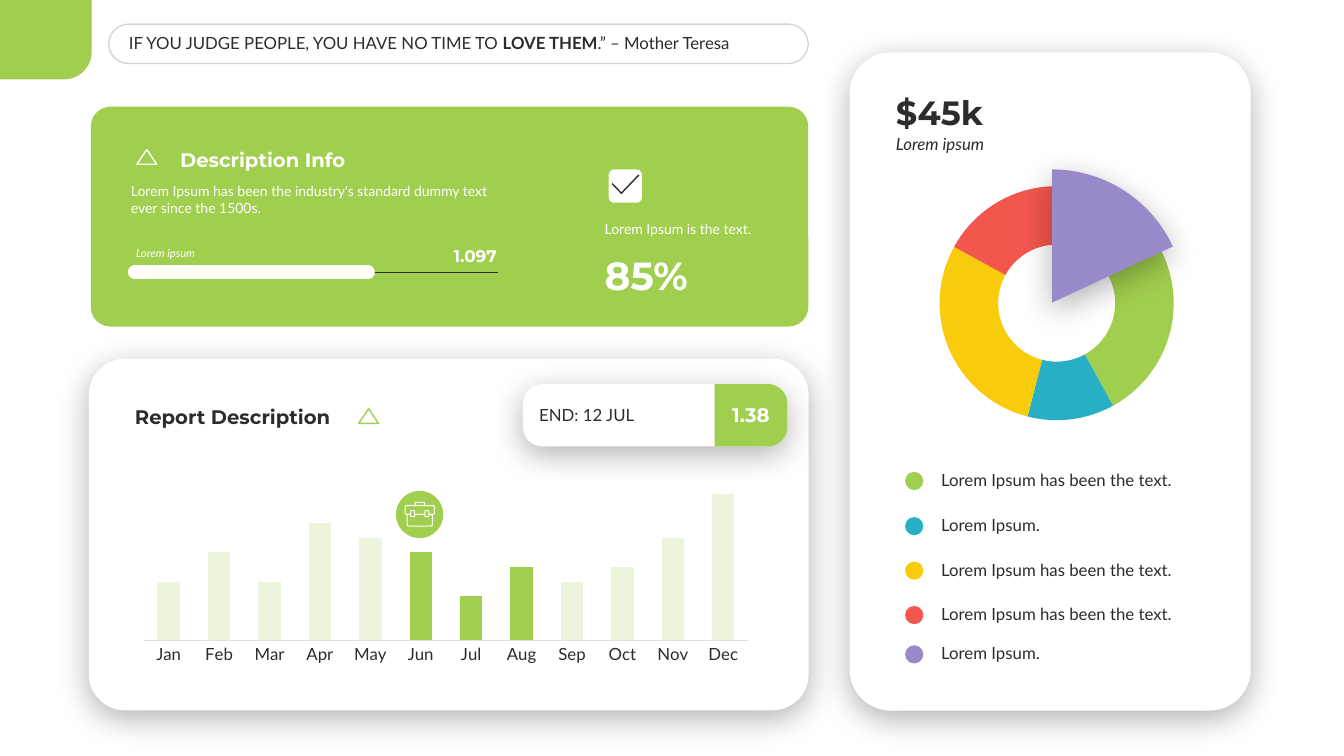
import math
import pptx
import pptx.chart.data, pptx.dml.color, pptx.oxml, pptx.oxml.ns, pptx.util
import pptx.enum.chart, pptx.enum.shapes, pptx.enum.text

Cm, Pt = pptx.util.Cm, pptx.util.Pt
SHAPE = pptx.enum.shapes.MSO_SHAPE
CHART = pptx.enum.chart.XL_CHART_TYPE
COLORS = {"green": "A0CE4E", "pale": "ECF5DC", "blue": "28AFC3", "yellow": "F8CB0C",
          "red": "F1574D", "purple": "9989CA", "dark": "2C2C2C", "white": "FFFFFF",
          "axis": "DFDFDF", "shadow": "000000"}

# Content: quote runs as (text, bold)
QUOTE = [("IF YOU JUDGE PEOPLE, YOU HAVE NO TIME TO ", False), ("LOVE THEM", True),
         (".” – Mother Teresa", False)]
MONTHS = {"Jan": 40, "Feb": 60, "Mar": 40, "Apr": 80, "May": 70, "Jun": 60,
          "Jul": 30, "Aug": 50, "Sep": 40, "Oct": 50, "Nov": 70, "Dec": 100}
HIGHLIGHTS = ("Jun", "Jul", "Aug")
SHARES = [("1", 42, "green"), ("2", 12, "blue"), ("3", 29, "yellow"), ("4", 17, "red")]
LEGEND = [  # text, colour, top in cm
    ("Lorem Ipsum has been the text.", "green", 11.71),
    ("Lorem Ipsum.", "blue", 12.85),
    ("Lorem Ipsum has been the text.", "yellow", 13.97),
    ("Lorem Ipsum has been the text.", "red", 15.09),
    ("Lorem Ipsum.", "purple", 16.08),
]
BRIEFCASE = [  # left, top, width, height in cm: handle, lid, body, clasps
    (10.46, 12.66, 0.24, 0.08), (10.21, 12.74, 0.74, 0.22), (10.26, 12.96, 0.64, 0.3),
    (10.35, 12.87, 0.1, 0.15), (10.71, 12.87, 0.1, 0.15),
]

deck = pptx.Presentation()
deck.slide_width, deck.slide_height = Cm(33.87), Cm(19.05)
page = deck.slides.add_slide(deck.slide_layouts[6])


def rgb(name):
    return pptx.dml.color.RGBColor.from_string(COLORS[name])


def effects(content=""):
    space = pptx.oxml.ns.nsdecls("a")
    return pptx.oxml.parse_xml(f"<a:effectLst {space}>{content}</a:effectLst>")


def paint(shape, fill=None, line=None, weight=1, shadow=False):
    shape.fill.background()
    if fill:
        shape.fill.solid()
        shape.fill.fore_color.rgb = rgb(fill)
    shape.line.fill.background()
    if line:
        shape.line.color.rgb = rgb(line)
        shape.line.width = Pt(weight)
    shape.shadow.inherit = False
    if shadow:
        properties = shape._element.spPr
        properties.remove(properties.find(pptx.oxml.ns.qn("a:effectLst")))
        properties.append(effects(
            f'<a:outerShdw blurRad="{Pt(23)}" dist="{Pt(6)}" dir="5400000" algn="t" '
            f'rotWithShape="0"><a:srgbClr val="{COLORS["shadow"]}">'
            '<a:alpha val="30000"/></a:srgbClr></a:outerShdw>'))
    return shape


def add_shape(kind, left, top, width, height, fill=None, adjust=(), **style):
    shape = page.shapes.add_shape(kind, Cm(left), Cm(top), Cm(width), Cm(height))
    for index, value in enumerate(adjust):
        shape.adjustments[index] = value
    return paint(shape, fill, **style)


def add_outline(points, closed=True, **style):
    builder = page.shapes.build_freeform(Cm(points[0][0]), Cm(points[0][1]), 1.0)
    builder.add_line_segments([(Cm(x), Cm(y)) for x, y in points[1:]], close=closed)
    return paint(builder.convert_to_shape(), **style)


def add_right_rounded(left, top, width, height, radii, fill):
    """Block whose top-right and bottom-right corners have the given radii."""
    points = [(left, top)]
    for radius, start, middle in zip(radii, (-90, 0), (top + radii[0], top + height - radii[1])):
        for angle in range(start, start + 91, 5):
            turn = math.radians(angle)
            points.append((left + width - radius + radius * math.cos(turn),
                           middle + radius * math.sin(turn)))
    add_outline(points + [(left, top + height)], fill=fill)


def add_text(runs, left, top, width, height, size, color="dark", font="Lato", anchor="MIDDLE",
             align="LEFT", italic=False, sides=(0.25, 0.25), after=0):
    box = page.shapes.add_textbox(Cm(left), Cm(top), Cm(width), Cm(height))
    frame = box.text_frame
    frame.word_wrap = True
    frame.auto_size = pptx.enum.text.MSO_AUTO_SIZE.SHAPE_TO_FIT_TEXT
    frame.vertical_anchor = pptx.enum.text.MSO_ANCHOR[anchor]
    frame.margin_left, frame.margin_right = map(Cm, sides)
    para = frame.paragraphs[0]
    para.alignment = pptx.enum.text.PP_ALIGN[align]
    para.space_after = Pt(after)
    if isinstance(runs, str):
        runs = [(runs, font == "Montserrat")]
    for text, bold in runs:
        span = para.add_run()
        span.text = text
        span.font.size, span.font.name = Pt(size), font
        span.font.bold, span.font.italic = bold, italic
        span.font.color.rgb = rgb(color)


def add_line(start, end, y, color, weight):
    line = page.shapes.add_connector(pptx.enum.shapes.MSO_CONNECTOR.STRAIGHT,
                                     Cm(start), Cm(y), Cm(end), Cm(y))
    line.line.color.rgb = rgb(color)
    line.line.width = Pt(weight)
    line._element.spPr.append(effects())
    return line


def add_chart(kind, categories, values, colors, place, size):
    data = pptx.chart.data.CategoryChartData()
    data.categories = categories
    data.add_series("Series 1", values)
    chart = page.shapes.add_chart(kind, *map(Cm, place), data).chart
    chart.has_legend = chart.has_title = False
    chart.font.size, chart.font.name = Pt(size), "Lato"
    chart.font.color.rgb = rgb("dark")
    for index, color in enumerate(colors):
        point = chart.plots[0].series[0].points[index].format
        point.fill.solid()
        point.fill.fore_color.rgb = rgb(color)
        point.line.fill.background()
    return chart


# Quote bar and corner block
pill = add_shape(SHAPE.ROUNDED_RECTANGLE, 2.74, 0.61, 17.63, 0.99, adjust=[0.5], line="dark")
line_color = pill.line._ln.find(".//" + pptx.oxml.ns.qn("a:srgbClr"))
line_color.append(pptx.oxml.parse_xml(f'<a:alpha {pptx.oxml.ns.nsdecls("a")} val="20000"/>'))
add_text(QUOTE, 3.15, 0.71, 16.64, 0.76, 12, sides=(0.1, 0.1))
add_right_rounded(0, 0, 2.31, 2, (0, 0.69), "green")

# Green information panel
add_shape(SHAPE.ROUNDED_RECTANGLE, 2.29, 2.69, 18.08, 5.54, "green", [0.089])
add_shape(SHAPE.ROUNDED_RECTANGLE, 15.34, 4.27, 0.84, 0.84, "white")
add_outline([(15.43, 4.63), (15.66, 4.87), (16.1, 4.41)], closed=False, line="dark")
add_text("Lorem Ipsum is the text.", 14.99, 5.41, 4.78, 0.69, 10, "white", anchor="BOTTOM")
add_text("85%", 14.99, 6.2, 4.78, 1.45, 28, "white", "Montserrat", "TOP")
add_line(3.4, 12.55, 6.86, "dark", 0.5)
add_line(3.4, 9.27, 6.86, "white", 10).line._ln.set("cap", "rnd")
add_text("Lorem ipsum", 3.23, 6.07, 4.88, 0.61, 8, "white", anchor="BOTTOM",
         italic=True, sides=(0.2, 0.25))
add_text("1.097", 10.97, 6.07, 1.65, 0.76, 12, "white", "Montserrat", "BOTTOM", "RIGHT",
         sides=(0.25, 0.1))
add_text("Description Info", 4.29, 3.58, 8.86, 0.86, 14, "white", "Montserrat", "BOTTOM")
add_shape(SHAPE.ISOSCELES_TRIANGLE, 3.45, 3.77, 0.5, 0.37, line="white")
add_text("Lorem Ipsum has been the industry's standard dummy text ever since the 1500s.",
         3.05, 4.47, 10.11, 1.12, 10, "white", anchor="TOP")

# Report panel
add_shape(SHAPE.ROUNDED_RECTANGLE, 2.24, 9.04, 18.14, 8.86, "white", [0.103], shadow=True)
add_shape(SHAPE.ROUNDED_RECTANGLE, 13.18, 9.68, 6.63, 1.57, "white", [0.311], shadow=True)
add_text("END: 12 JUL", 13.34, 10.08, 4.83, 0.76, 12)
add_right_rounded(18.01, 9.68, 1.83, 1.57, (0.49, 0.49), "green")
add_text("1.38", 18.01, 10.03, 1.83, 0.86, 14, "white", "Montserrat", align="CENTER",
         sides=(0.1, 0.1))
add_text("Report Description", 3.15, 10.06, 8.94, 0.86, 14, font="Montserrat")
columns = add_chart(CHART.COLUMN_CLUSTERED, list(MONTHS), list(MONTHS.values()),
                    ["green" if month in HIGHLIGHTS else "pale" for month in MONTHS],
                    (3.3, 11.61, 15.88, 5.23), 12)
columns.plots[0].gap_width, columns.plots[0].overlap = 125, -27
columns.plots[0].vary_by_categories = False
columns.value_axis.visible = columns.value_axis.has_major_gridlines = False
columns.value_axis.minimum_scale, columns.value_axis.maximum_scale = 0, 120
columns.category_axis.major_tick_mark = pptx.enum.chart.XL_TICK_MARK.NONE
columns.category_axis.format.line.color.rgb = rgb("axis")
columns.category_axis.format.line.width = Pt(0.75)
add_shape(SHAPE.ISOSCELES_TRIANGLE, 9.04, 10.3, 0.5, 0.37, line="green")

# Share panel
add_shape(SHAPE.ROUNDED_RECTANGLE, 21.41, 1.32, 10.11, 16.59, "white", [0.103], shadow=True)
add_text("Lorem ipsum", 22.33, 3.25, 8.43, 0.76, 12, anchor="TOP", italic=True, after=6)
add_text("$45k", 22.33, 2.18, 8.43, 1.27, 24, font="Montserrat", anchor="BOTTOM", after=6)
names, shares, share_colors = zip(*SHARES)
ring = add_chart(CHART.DOUGHNUT, names, shares, share_colors, (22.5, 4.34, 8.26, 6.6), 10)
ring.plots[0].vary_by_categories = True
add_shape(SHAPE.ARC, 23.16, 4.27, 6.71, 6.71, "purple", [162, 201.05], shadow=True)
for text, color, top in LEGEND:
    add_shape(SHAPE.OVAL, 22.81, top + 0.18, 0.46, 0.46, color)
    add_text(text, 23.47, top, 6.93, 0.76, 12)

# Briefcase marker above June
add_shape(SHAPE.OVAL, 9.98, 12.37, 1.19, 1.19, "green")
for place in BRIEFCASE:
    add_shape(SHAPE.ROUNDED_RECTANGLE, *place, "green", line="white", weight=0.75)

deck.save("out.pptx")
